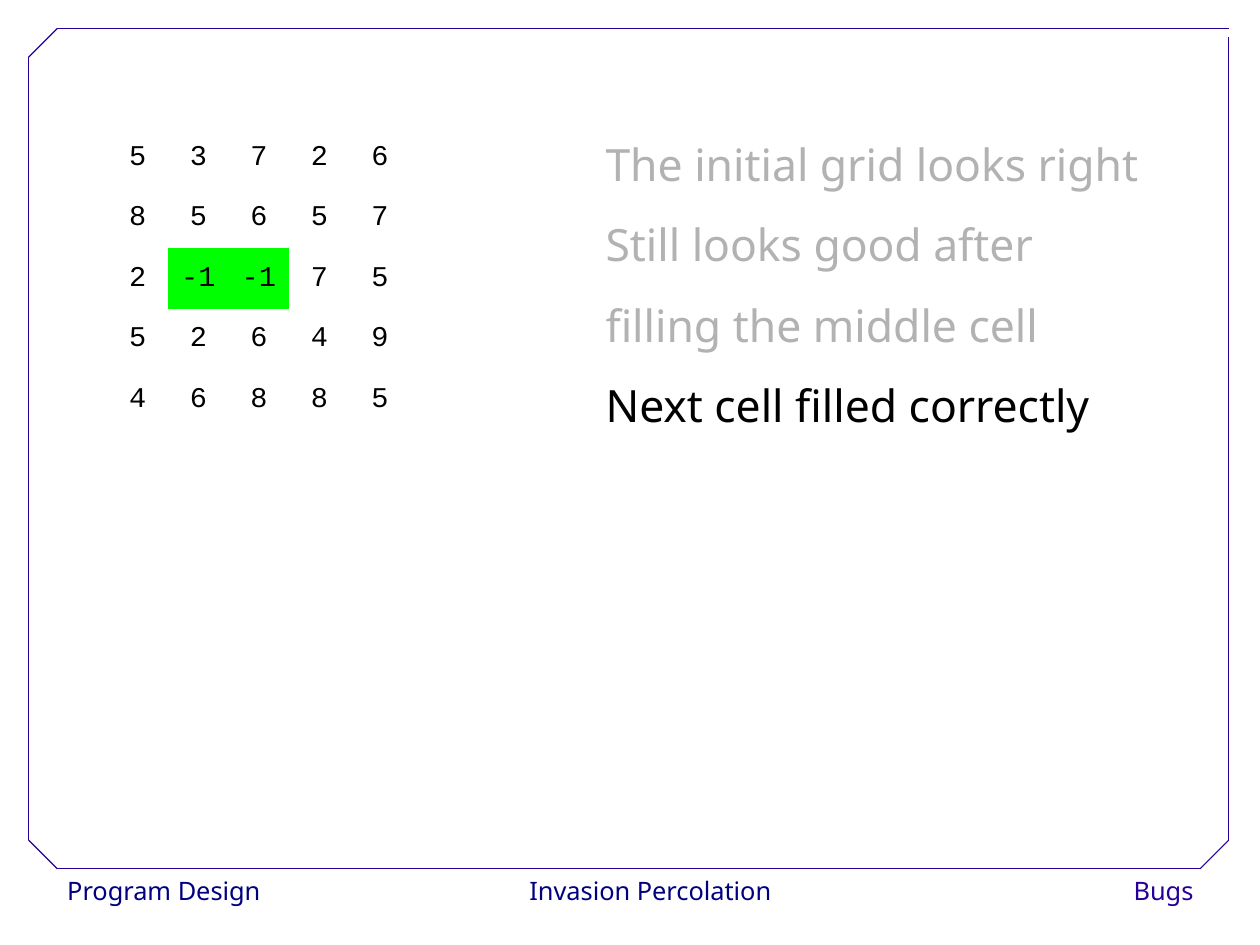
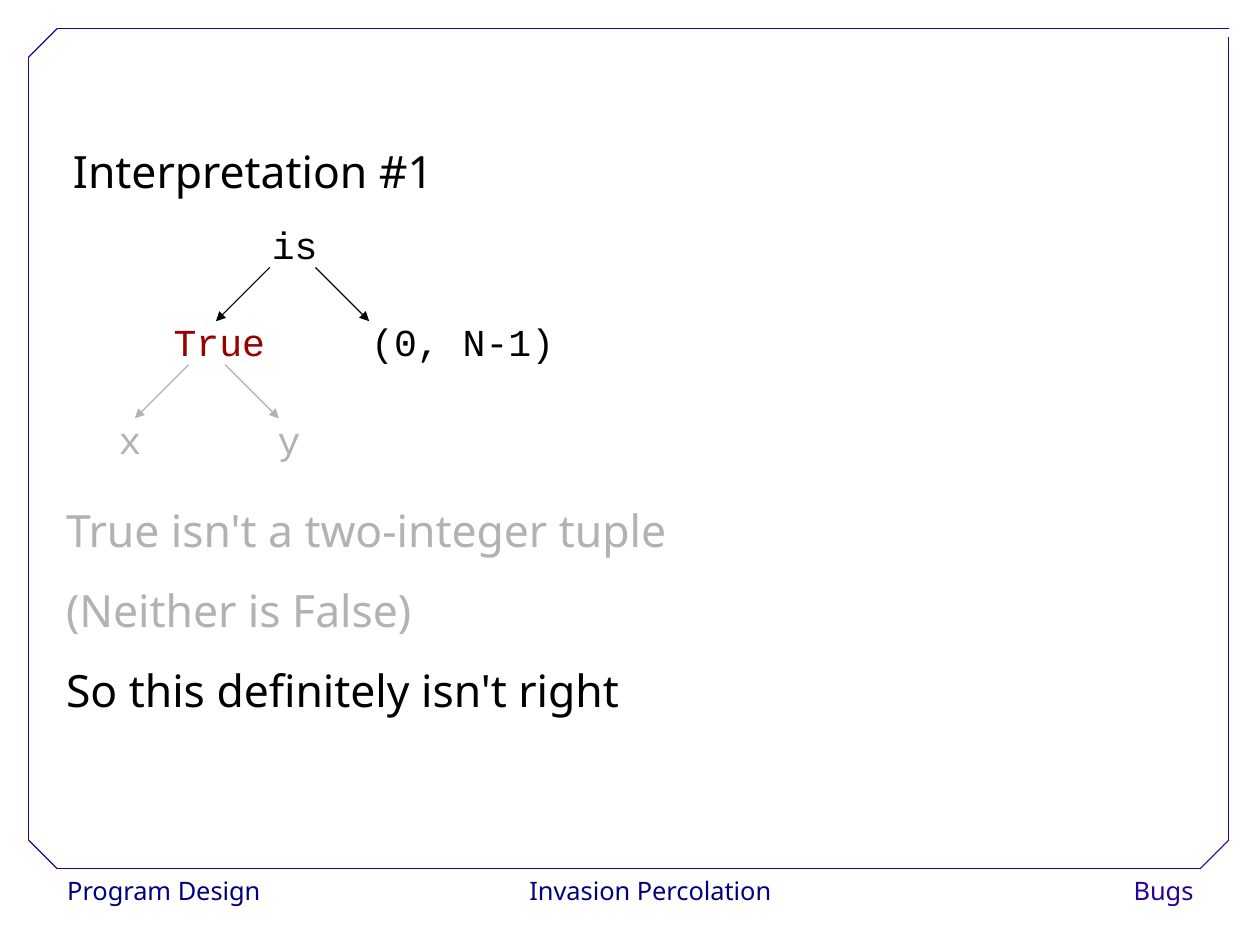
from pptx import Presentation
from pptx.dml.color import RGBColor
from pptx.enum.shapes import MSO_CONNECTOR
from pptx.enum.text import MSO_ANCHOR, PP_ALIGN
from pptx.oxml.ns import qn
from pptx.util import Cm, Inches, Pt
from lxml.etree import SubElement

WIDTH, HEIGHT = Cm(28), Cm(21)
COLOURS = {"page": "FFFFFF", "ink": "000000", "faded": "B2B2B2", "frame": "280099",
           "footer": "000080", "alert": "990000", "filled": "00FF00"}
SANS, MONO = "Noto Sans", "Courier New"
NO_GRID_STYLE = "{2D5ABB26-0587-4C30-8999-92F81FD0307C}"

# Footer: text, left, alignment, colour
FOOTER_WIDTH = 2.6
FOOTER = [("Program Design", 0.49, PP_ALIGN.LEFT, "footer"),
          ("Invasion Percolation", 4.39, PP_ALIGN.CENTER, "footer"),
          ("Bugs", 7.94, PP_ALIGN.RIGHT, "frame")]

# Frame: outer edges, and the cut at each corner
LEFT, TOP, RIGHT, BOTTOM, CUT = 0.25, 0.25, 10.75, 7.6, 0.25
FRAME = [((LEFT + CUT, BOTTOM), (RIGHT - CUT, BOTTOM)),
         ((LEFT, BOTTOM - CUT), (LEFT, TOP + CUT)),
         ((LEFT + CUT, TOP), (RIGHT, TOP)),
         ((RIGHT, BOTTOM - CUT), (RIGHT, TOP + 0.07)),
         ((LEFT, TOP + CUT), (LEFT + CUT, TOP)),
         ((RIGHT - CUT, BOTTOM), (RIGHT, BOTTOM - CUT)),
         ((LEFT, BOTTOM - CUT), (LEFT + CUT, BOTTOM))]

GRID = [[5, 3, 7, 2, 6],
        [8, 5, 6, 5, 7],
        [2, -1, -1, 7, 5],
        [5, 2, 6, 4, 9],
        [4, 6, 8, 8, 5]]
GRID_LEFT, GRID_TOP, CELL = 0.94, 1.11, 0.53
GRID_NOTES = [("The initial grid looks right", "faded"),
              ("Still looks good after filling the middle cell", "faded"),
              ("Next cell filled correctly", "ink")]

TREE_TITLE = [("Interpretation #1", "ink")]
# Tree nodes: text, left, level, colour
NODES = [("is", 2.28, 0, "ink"), ("True", 1.42, 1, "alert"), ("(0, N-1)", 3.15, 1, "ink"),
         ("x", 0.94, 2, "faded"), ("y", 2.33, 2, "faded")]
# Tree branches: start x, level of the parent, direction, colour
BRANCHES = [(2.36, 0, -1, "ink"), (2.76, 0, 1, "ink"),
            (1.65, 1, -1, "faded"), (1.97, 1, 1, "faded")]
TREE_TOP, LEVEL_STEP, NODE_HEIGHT, REACH = 1.79, 0.85, 0.55, 0.47
TREE_NOTES = [("True isn't a two-integer tuple", "faded"),
              ("(Neither is False)", "faded"),
              ("So this definitely isn't right", "ink")]


def rgb(name):
    return RGBColor.from_string(COLOURS[name])


def write(para, text, colour, size, font=SANS, align=PP_ALIGN.LEFT, spacing=1.02):
    para.alignment = align
    para.line_spacing = spacing
    span = para.add_run()
    span.text = text
    span.font.name, span.font.size = font, Pt(size)
    span.font.color.rgb = rgb(colour)


def add_text(page, place, lines, size, **style):
    """Add a text box with one paragraph for each (text, colour) line."""
    box = page.shapes.add_textbox(*map(Inches, place))
    frame = box.text_frame
    frame.word_wrap = True
    for index, (text, colour) in enumerate(lines):
        para = frame.add_paragraph() if index else frame.paragraphs[0]
        write(para, text, colour, size, **style)
    return box


def add_line(page, start, end, colour, arrow=False):
    line = page.shapes.add_connector(MSO_CONNECTOR.STRAIGHT, *map(Inches, (*start, *end)))
    line.line.color.rgb = rgb(colour)
    line.line.width = Pt(0.75)
    if arrow:
        SubElement(line.line._get_or_add_ln(), qn("a:tailEnd"), type="triangle")
    SubElement(line._element.spPr, qn("a:effectLst"))


def add_page(deck):
    """Add a slide with the shared background, footer and frame."""
    page = deck.slides.add_slide(deck.slide_layouts[6])
    page.background.fill.solid()
    page.background.fill.fore_color.rgb = rgb("page")
    for text, left, align, colour in FOOTER:
        box = add_text(page, (left, BOTTOM, FOOTER_WIDTH, 0.4), [(text, colour)], 16, align=align)
        box.fill.solid()
        box.fill.fore_color.rgb = rgb("page")
    for start, end in FRAME:
        add_line(page, start, end, "frame")
    return page


def add_grid(page):
    side = Inches(CELL * len(GRID))
    table = page.shapes.add_table(len(GRID), len(GRID[0]), Inches(GRID_LEFT), Inches(GRID_TOP),
                                  side, side).table
    table.first_row = table.horz_banding = False
    table._tbl.tblPr.find(qn("a:tableStyleId")).text = NO_GRID_STYLE
    for row, values in zip(table.rows, GRID):
        for cell, value in zip(row.cells, values):
            cell.vertical_anchor = MSO_ANCHOR.MIDDLE
            write(cell.text_frame.paragraphs[0], str(value), "ink", 18, MONO, PP_ALIGN.CENTER)
            if value < 0:
                cell.fill.solid()
                cell.fill.fore_color.rgb = rgb("filled")
            else:
                cell.fill.background()


def add_tree(page):
    for text, left, level, colour in NODES:
        place = (left, TREE_TOP + level * LEVEL_STEP, 0.3 + 0.2 * len(text), NODE_HEIGHT)
        add_text(page, place, [(text, colour)], 24, font=MONO, spacing=1.25)
    for x, level, direction, colour in BRANCHES:
        y = TREE_TOP + level * LEVEL_STEP + NODE_HEIGHT
        add_line(page, (x, y), (x + direction * REACH, y + REACH), colour, arrow=True)


def main():
    deck = Presentation()
    deck.slide_width, deck.slide_height = WIDTH, HEIGHT

    page = add_page(deck)
    add_grid(page)
    add_text(page, (5.2, 0.92, 4.9, 2.9), GRID_NOTES, 28, spacing=1.5)

    page = add_page(deck)
    add_text(page, (0.54, 0.98, 4.35, 0.8), TREE_TITLE, 28, spacing=1.5)
    add_tree(page)
    add_text(page, (0.48, 4.12, 6.47, 2.2), TREE_NOTES, 28, spacing=1.5)

    deck.save("out.pptx")


if __name__ == "__main__":
    main()
